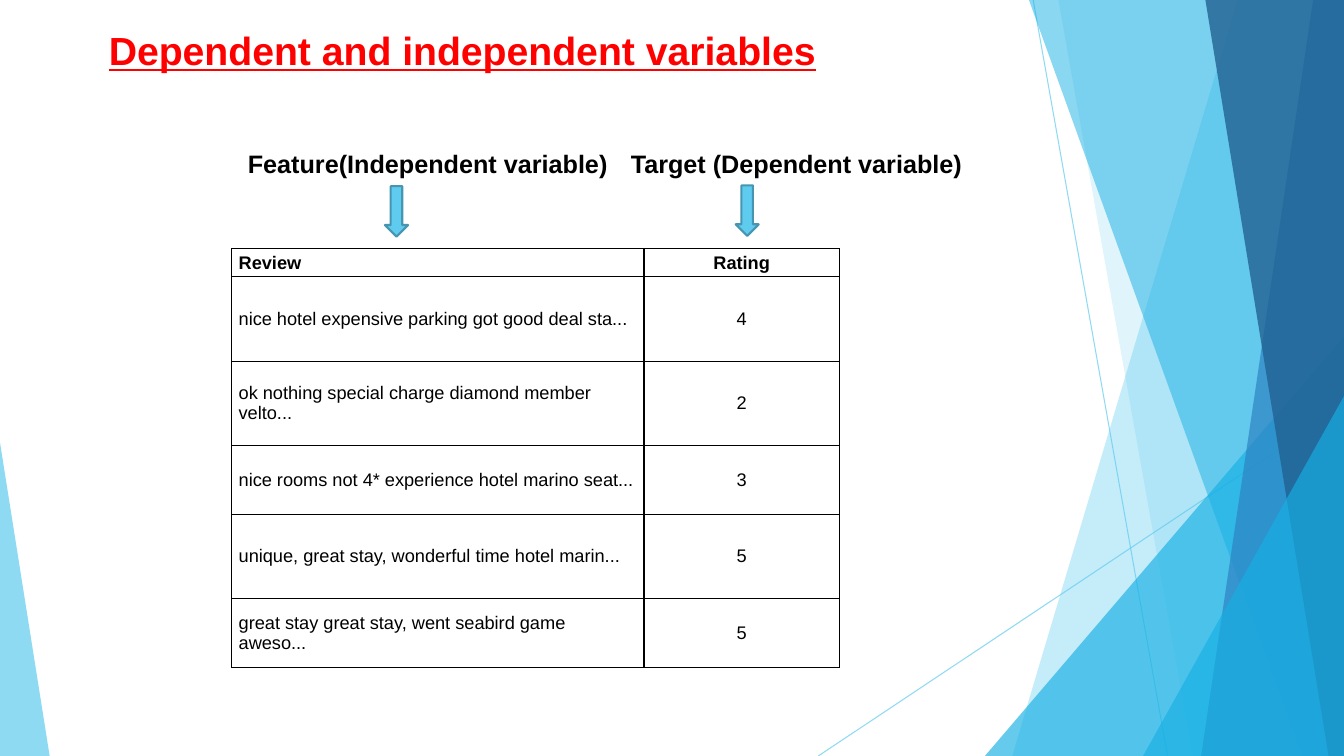
from lxml import etree
from pptx import Presentation
from pptx.dml.color import RGBColor
from pptx.enum.shapes import MSO_CONNECTOR, MSO_SHAPE
from pptx.enum.text import MSO_ANCHOR, MSO_AUTO_SIZE, PP_ALIGN
from pptx.oxml.ns import qn
from pptx.util import Pt

LEFT, CENTER = PP_ALIGN.LEFT, PP_ALIGN.CENTER
MIDDLE = MSO_ANCHOR.MIDDLE
NO_FIT = MSO_AUTO_SIZE.NONE
FIT_SHAPE = MSO_AUTO_SIZE.SHAPE_TO_FIT_TEXT
STRAIGHT = MSO_CONNECTOR.STRAIGHT
TRIANGLE, DOWN_ARROW = MSO_SHAPE.ISOSCELES_TRIANGLE, MSO_SHAPE.DOWN_ARROW

COLOURS = {"sky": "5FCBEF", "cyan": "17B0E4", "blue": "2E83C3", "navy": "226292",
           "arrow edge": "4696B1", "title": "FF0000", "black": "000000"}
WIDTH, HEIGHT = 960, 540


def colour(name):
    return RGBColor.from_string(COLOURS[name])


def set_alpha(fill_parent, percent):
    value = next(fill_parent.iter(qn("a:srgbClr")))
    etree.SubElement(value, qn("a:alpha")).set("val", str(percent * 1000))


presentation = Presentation()
presentation.slide_width, presentation.slide_height = Pt(WIDTH), Pt(HEIGHT)
slide = presentation.slides.add_slide(presentation.slide_layouts[5])
shapes = slide.shapes

# Thin background lines
for x1, y1, x2, y2 in [(738, 0, 834, HEIGHT), (WIDTH, 290, 584.5, HEIGHT)]:
    line = shapes.add_connector(STRAIGHT, Pt(x1), Pt(y1), Pt(x2), Pt(y2))
    line.line.color.rgb = colour("sky")
    line.line.width = Pt(0.75)
    properties = line._element.spPr
    set_alpha(properties, 70)
    etree.SubElement(properties, qn("a:effectLst"))

# Translucent facets, back to front: panels run from top to bottom at the right
# edge (top x, bottom x); triangles have (left, top, width, apex position)
facets = [
    ("panel", (884, 723), "sky", 36),
    ("panel", (756, 852), "sky", 20),
    ("triangle", (703.5, 240, 256.5, 1), "cyan", 66),
    ("panel", (735, 930), "cyan", 50),
    ("panel", (938, 858), "blue", 70),
    ("panel", (861, 949), "navy", 80),
    ("triangle", (816.5, 283, 143.5, 1), "cyan", 66),
    ("triangle", (0, 316, 35.5, 0), "sky", 70),
]
for kind, geometry, fill, opacity in facets:
    if kind == "panel":
        top_x, bottom_x = geometry
        builder = shapes.build_freeform(top_x, 0, scale=Pt(1))
        builder.add_line_segments([(WIDTH, 0), (WIDTH, HEIGHT), (bottom_x, HEIGHT)])
        facet = builder.convert_to_shape()
    else:
        left, top, width, apex = geometry
        facet = shapes.add_shape(TRIANGLE, Pt(left), Pt(top), Pt(width), Pt(HEIGHT - top))
        facet.adjustments[0] = apex
    facet.shadow.inherit = False
    facet.fill.solid()
    facet.fill.fore_color.rgb = colour(fill)
    set_alpha(facet._element.spPr, opacity)
    facet.line.fill.background()

# Title
title = shapes.title
title.left, title.top, title.width, title.height = Pt(70.5), Pt(14.5), Pt(580), Pt(42.5)
title.text_frame.text = "Dependent and independent variables"
title.text_frame.auto_size = NO_FIT
title.text_frame.vertical_anchor = MIDDLE
paragraph = title.text_frame.paragraphs[0]
paragraph.alignment = LEFT
font = paragraph.font
font.name, font.size, font.bold, font.underline = "Arial", Pt(28), True, True
font.color.rgb = colour("title")

# Review table
rows = [
    ("Review", "Rating", 20),
    ("nice hotel expensive parking got good deal sta...", "4", 60.25),
    ("ok nothing special charge diamond member velto...", "2", 60.25),
    ("nice rooms not 4* experience hotel marino seat...", "3", 49.25),
    ("unique, great stay, wonderful time hotel marin...", "5", 60.25),
    ("great stay great stay, went seabird game aweso...", "5", 49.25),
]
table_height = sum(row[2] for row in rows)
table = shapes.add_table(len(rows), 2, Pt(165.5), Pt(177.75), Pt(434), Pt(table_height)).table
table.first_row = table.horz_banding = False
table.columns[0].width, table.columns[1].width = Pt(294.5), Pt(139.5)
for row_index, (review, rating, height) in enumerate(rows):
    table.rows[row_index].height = Pt(height)
    for column_index, (text, alignment) in enumerate([(review, LEFT), (rating, CENTER)]):
        cell = table.cell(row_index, column_index)
        cell.text = text
        cell.vertical_anchor = MIDDLE
        cell.margin_left = cell.margin_right = Pt(5)
        cell.margin_top = cell.margin_bottom = Pt(2.5)
        paragraph = cell.text_frame.paragraphs[0]
        paragraph.alignment = alignment
        font = paragraph.font
        font.name, font.size, font.bold = "Arial", Pt(13), row_index == 0
        font.color.rgb = colour("black")
        cell_properties = cell._tc.get_or_add_tcPr()
        for side in ("lnL", "lnR", "lnT", "lnB"):
            border = etree.SubElement(cell_properties, qn("a:" + side), w=str(Pt(1)))
            border_fill = etree.SubElement(border, qn("a:solidFill"))
            etree.SubElement(border_fill, qn("a:srgbClr"), val=COLOURS["black"])
        cell.fill.background()

# Column labels with arrows pointing at the table
labels = [("Feature(Independent variable)", 170, 275, 133),
          ("Target (Dependent variable)", 443.5, 525.5, 132.5)]
for text, label_left, arrow_left, arrow_top in labels:
    arrow = shapes.add_shape(DOWN_ARROW, Pt(arrow_left), Pt(arrow_top), Pt(16.5), Pt(36))
    arrow.shadow.inherit = False
    arrow.fill.solid()
    arrow.fill.fore_color.rgb = colour("sky")
    arrow.line.color.rgb = colour("arrow edge")
    arrow.line.width = Pt(1.5)

    label = shapes.add_textbox(Pt(label_left), Pt(102.5), Pt(274.5), Pt(29))
    label.text_frame.word_wrap = True
    label.text_frame.auto_size = FIT_SHAPE
    label.text_frame.text = text
    font = label.text_frame.paragraphs[0].font
    font.name, font.size, font.bold = "Arial", Pt(18), True
    font.color.rgb = colour("black")

presentation.save("out.pptx")
